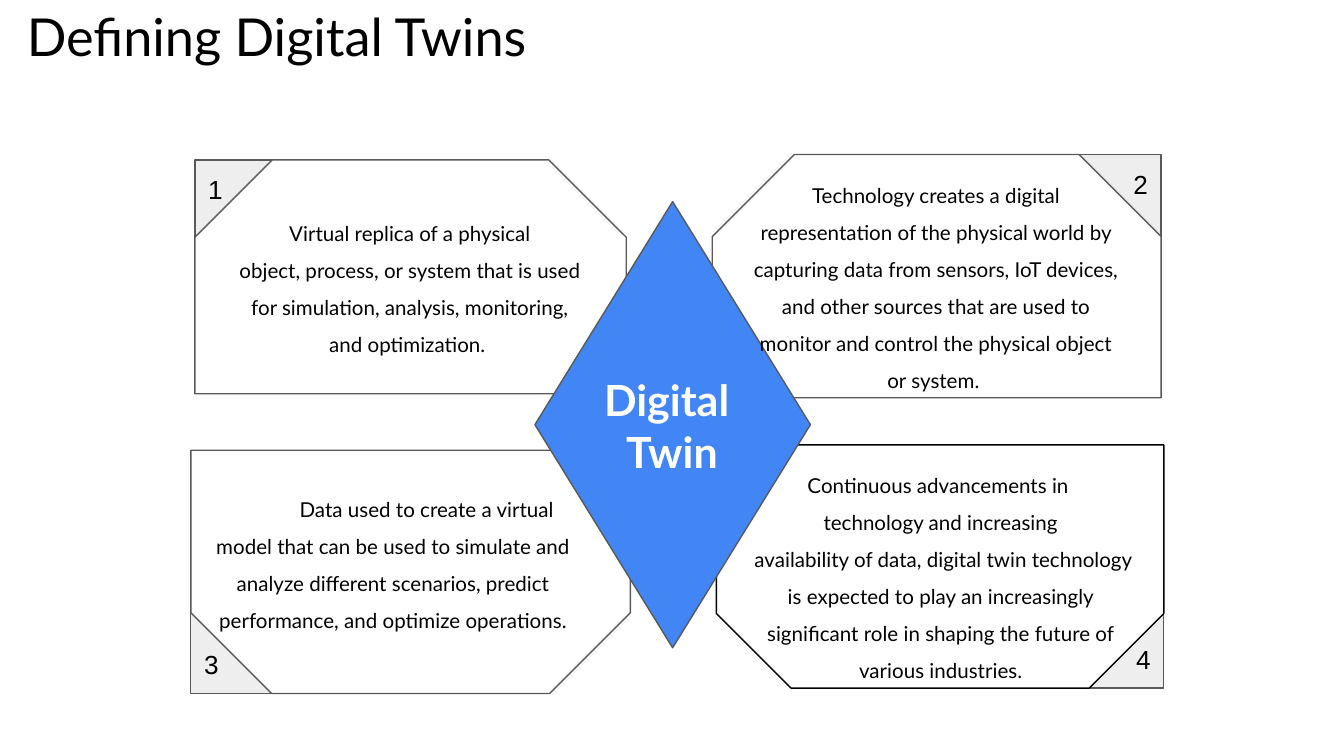
"""Build a slide defining digital twins with four numbered cards around a diamond."""
from pptx import Presentation
from pptx.dml.color import RGBColor
from pptx.enum import shapes, text
from pptx.util import Inches, Pt

THEME = {
    "ink": RGBColor(0, 0, 0),
    "paper": RGBColor(0xFF, 0xFF, 0xFF),
    "corner": RGBColor(0xEE, 0xEE, 0xEE),
    "edge": RGBColor(0x59, 0x59, 0x59),
    "accent": RGBColor(0x42, 0x85, 0xF4),
    "font": "Lato",
    "number_font": "Arial",
    "title": Pt(28),
    "hub": Pt(23),
    "number": Pt(14),
    "body": Pt(11),
    "line": Pt(0.75),
}
TOP, MIDDLE, BOTTOM = text.MSO_ANCHOR.TOP, text.MSO_ANCHOR.MIDDLE, text.MSO_ANCHOR.BOTTOM
LEFT, CENTER, RIGHT = text.PP_ALIGN.LEFT, text.PP_ALIGN.CENTER, text.PP_ALIGN.RIGHT


def add_panel(kind, box, fill, line=THEME["edge"]):
    sp = s.shapes.add_shape(kind, *map(Inches, box))
    sp.shadow.inherit = False
    sp.fill.solid()
    sp.fill.fore_color.rgb = fill
    sp.line.color.rgb = line
    sp.line.width = THEME["line"]
    return sp


def write(sp, lines, size, align=CENTER, anchor=TOP, font=THEME["font"],
          color=THEME["ink"], bold=False, spacing=None, inset=0.1):
    tf = sp.text_frame
    frame = {"word_wrap": True, "auto_size": text.MSO_AUTO_SIZE.NONE, "vertical_anchor": anchor,
             "margin_left": Inches(0.1), "margin_right": Inches(0.1),
             "margin_top": Inches(inset), "margin_bottom": Inches(inset)}
    for name, value in frame.items():
        setattr(tf, name, value)
    for i, line in enumerate(lines):
        p = tf.add_paragraph() if i else tf.paragraphs[0]
        p.alignment = align
        p.line_spacing = spacing
        r = p.add_run()
        r.text = line
        for name, value in {"name": font, "size": size, "bold": bold}.items():
            setattr(r.font, name, value)
        r.font.color.rgb = color
    return tf


prs = Presentation()
prs.slide_width = Inches(10)
prs.slide_height = prs.slide_width * 9 // 16
s = prs.slides.add_slide(prs.slide_layouts[5])

title = s.shapes.title
title.left, title.top, title.width, title.height = map(Inches, (0, 0, 4.32, 0.53))
write(title, [" Defining Digital Twins"], THEME["title"], LEFT, MIDDLE, inset=0.05)

cards = [
    {"number": "1", "corner": (1.45, 1.19, 0.9, 0.73), "align": LEFT, "anchor": TOP,
     "panel": (1.45, 1.19, 3.21, 1.74), "snip": 0.331, "turn": 0, "line": THEME["edge"],
     "box": (1.64, 1.45, 2.82, 1.22), "indent": 0,
     "lines": ["Virtual replica of a physical",
               "object, process, or system that is used for simulation, analysis, "
               "monitoring, and optimization. "]},
    {"number": "2", "corner": (7.74, 1.15, 0.9, 0.73), "align": RIGHT, "anchor": TOP,
     "panel": (5.3, 1.15, 3.34, 1.81), "snip": 0.337, "turn": 0, "line": THEME["edge"],
     "box": (5.48, 1.17, 2.97, 1.78), "indent": 0,
     "lines": ["Technology creates a digital representation of the physical world by "
               "capturing data from sensors, IoT devices, and other sources that are used "
               "to monitor and control the physical object or system. "]},
    {"number": "3", "corner": (1.42, 4.43, 0.9, 0.73), "align": LEFT, "anchor": BOTTOM,
     "panel": (1.42, 3.35, 3.27, 1.81), "snip": 0.332, "turn": 180, "line": THEME["edge"],
     "box": (1.42, 3.51, 3.01, 1.5), "indent": 0.5,
     "lines": ["Data used to create a virtual model that can be used to simulate and "
               "analyze different scenarios, predict performance, and optimize operations."]},
    {"number": "4", "corner": (7.76, 4.34, 0.9, 0.78), "align": RIGHT, "anchor": BOTTOM,
     "panel": (5.33, 3.31, 3.33, 1.81), "snip": 0.307, "turn": 180, "line": THEME["ink"],
     "box": (5.43, 3.33, 3.14, 1.87), "indent": 0,
     "lines": ["Continuous advancements in ", "technology and increasing",
               " availability of data, digital twin technology is expected to play an "
               "increasingly significant role in shaping the future of various industries."]},
]

for card in cards:
    corner = add_panel(shapes.MSO_SHAPE.RECTANGLE, card["corner"], THEME["corner"])
    write(corner, [card["number"]], THEME["number"], card["align"], card["anchor"],
          THEME["number_font"])
    panel = add_panel(shapes.MSO_SHAPE.SNIP_2_SAME_RECTANGLE, card["panel"],
                      THEME["paper"], card["line"])
    panel.adjustments[0] = card["snip"]
    panel.adjustments[1] = 0
    panel.rotation = card["turn"]

add_panel(shapes.MSO_SHAPE.DIAMOND, (3.98, 1.5, 2.05, 3.32), THEME["accent"])
hub = s.shapes.add_textbox(*map(Inches, (4.37, 2.83, 1.26, 0.67)))
write(hub, ["Digital ", "Twin"], THEME["hub"], anchor=MIDDLE, color=THEME["paper"], bold=True)

for card in cards:
    body = s.shapes.add_textbox(*map(Inches, card["box"]))
    tf = write(body, card["lines"], THEME["body"], spacing=1.5)
    if card["indent"]:
        pPr = tf.paragraphs[0]._p.get_or_add_pPr()
        pPr.set("marL", "0")
        pPr.set("indent", str(Inches(card["indent"])))

prs.save("out.pptx")
